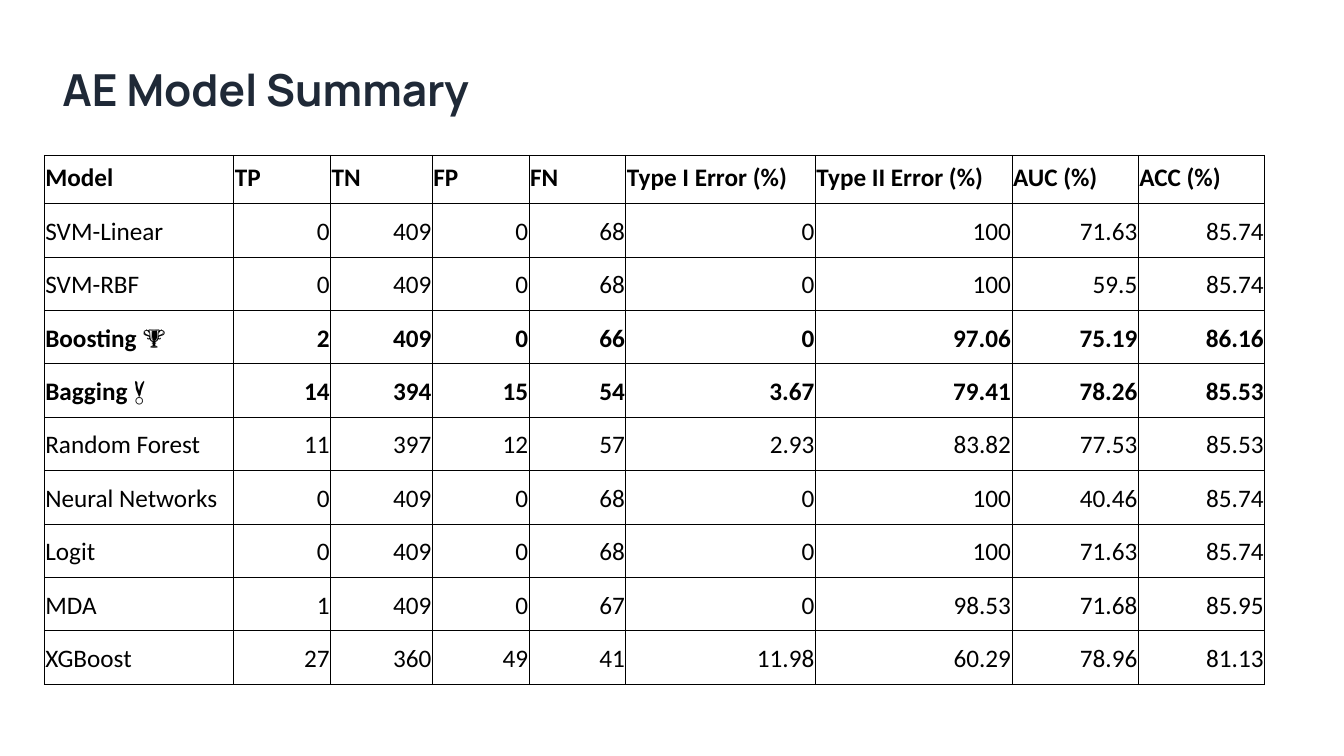
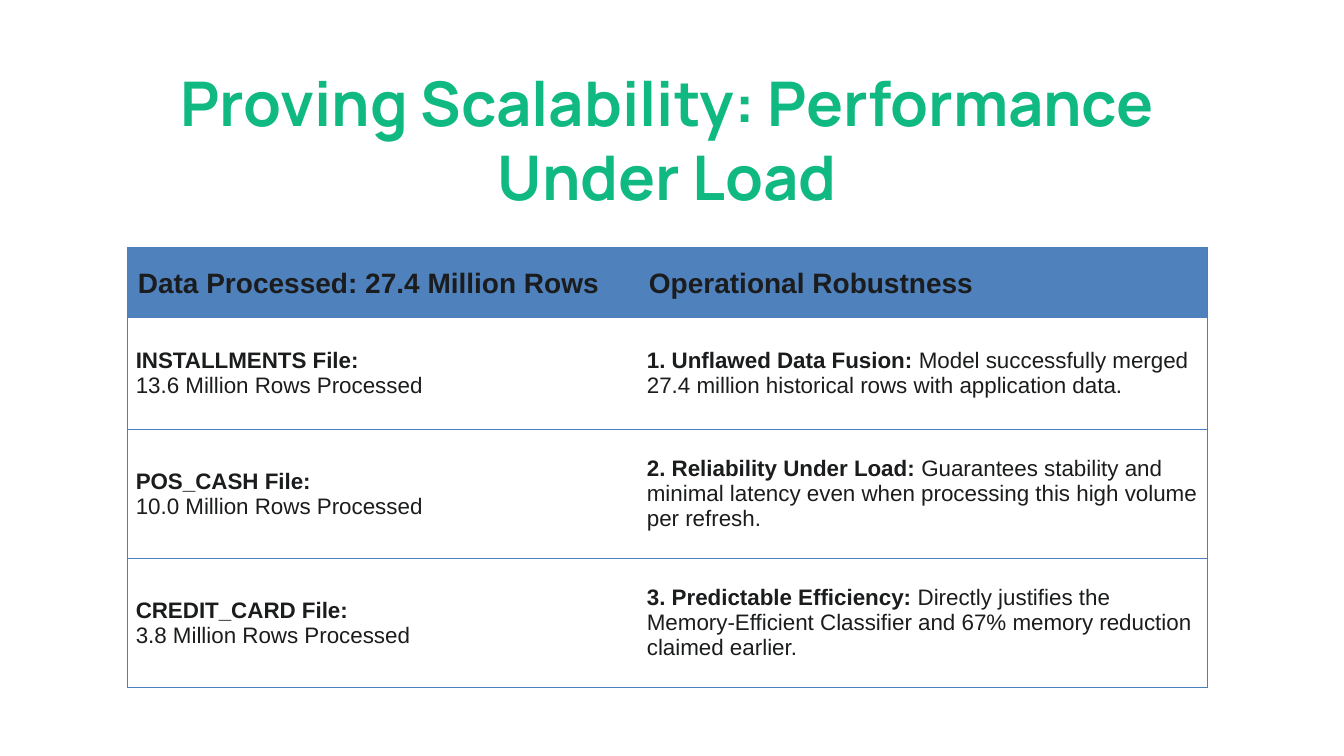
import dataclasses

import pptx
import pptx.dml.color
import pptx.enum.text
import pptx.oxml.ns
import pptx.util
from lxml import etree

ALIGN = pptx.enum.text.PP_ALIGN
ANCHOR = pptx.enum.text.MSO_ANCHOR


@dataclasses.dataclass(frozen=True)
class Theme:
    wide: float = 13.33
    high: float = 7.5
    # Colours
    navy: str = "1F2937"
    green: str = "10B981"
    black: str = "000000"
    ink: str = "1B1C1D"
    band: str = "4F81BD"
    rule: str = "4B7EBC"
    # Fonts and sizes
    title: str = "Manrope"
    grid: str = "Calibri"
    body: str = "Arial"
    small: float = 31.5
    large: float = 44
    score: float = 18
    head: float = 20
    text: float = 16
    line: float = 0.75


THEME = Theme()

HEADS = ("Model", "TP", "TN", "FP", "FN", "Type I Error (%)",
         "Type II Error (%)", "AUC (%)", "ACC (%)")
SCORES = (
    ("SVM-Linear", "0 409 0 68 0 100 71.63 85.74"),
    ("SVM-RBF", "0 409 0 68 0 100 59.5 85.74"),
    ("Boosting 🏆", "2 409 0 66 0 97.06 75.19 86.16"),
    ("Bagging 🏅", "14 394 15 54 3.67 79.41 78.26 85.53"),
    ("Random Forest", "11 397 12 57 2.93 83.82 77.53 85.53"),
    ("Neural Networks", "0 409 0 68 0 100 40.46 85.74"),
    ("Logit", "0 409 0 68 0 100 71.63 85.74"),
    ("MDA", "1 409 0 67 0 98.53 71.68 85.95"),
    ("XGBoost", "27 360 49 41 11.98 60.29 78.96 81.13"),
)
BEST = ("Boosting 🏆", "Bagging 🏅")

LOADS = (
    ("INSTALLMENTS File:", "13.6 Million Rows Processed",
     "1. Unflawed Data Fusion:",
     " Model successfully merged 27.4 million historical rows with"
     " application data."),
    ("POS_CASH File:", "10.0 Million Rows Processed",
     "2. Reliability Under Load:",
     " Guarantees stability and minimal latency even when processing this"
     " high volume per refresh."),
    ("CREDIT_CARD File:", "3.8 Million Rows Processed",
     "3. Predictable Efficiency:",
     " Directly justifies the Memory-Efficient Classifier and 67% memory"
     " reduction claimed earlier."),
)


# Lengths as percent of the slide
def across(share):
    return pptx.util.Inches(THEME.wide * share / 100)


def down(share):
    return pptx.util.Inches(THEME.high * share / 100)


def paint(color):
    return pptx.dml.color.RGBColor.from_string(color)


def add_run(para, text, font, size, color, bold=True):
    run = para.add_run()
    run.text = text
    run.font.name = font
    run.font.size = pptx.util.Pt(size)
    run.font.bold = bold
    run.font.color.rgb = paint(color)


def add_title(deck, text, box, size, color, align, inset):
    """Add a title-only slide and set its title."""
    slide = deck.slides.add_slide(deck.slide_layouts[5])
    shape = slide.shapes.title
    left, top, width, height = box
    shape.left, shape.top = across(left), down(top)
    shape.width, shape.height = across(width), down(height)
    frame = shape.text_frame
    frame.word_wrap = True
    frame.auto_size = pptx.enum.text.MSO_AUTO_SIZE.SHAPE_TO_FIT_TEXT
    frame.vertical_anchor = ANCHOR.TOP
    set_inset(frame, inset)
    para = frame.paragraphs[0]
    para.alignment = align
    add_run(para, text, THEME.title, size, color)
    return slide


def add_table(slide, left, top, cols, rows):
    table = slide.shapes.add_table(
        len(rows), len(cols), across(left), down(top),
        across(sum(cols)), down(sum(rows))).table
    table.first_row = table.horz_banding = False
    for col, share in zip(table.columns, cols):
        col.width = across(share)
    for row, share in zip(table.rows, rows):
        row.height = down(share)
    return table


def set_inset(item, inset):
    """Set left, top, right and bottom margins."""
    (item.margin_left, item.margin_top, item.margin_right,
     item.margin_bottom) = map(pptx.util.Inches, inset)


def style_cell(cell, sides, color, inset, anchor, fill=None):
    """Rule the named sides (of L, R, T, B), clear the others, then fill."""
    name = pptx.oxml.ns.qn
    props = cell._tc.get_or_add_tcPr()
    for side in "LRTB":
        line = etree.SubElement(props, name("a:ln" + side),
                                w=str(pptx.util.Pt(THEME.line)))
        if side in sides:
            solid = etree.SubElement(line, name("a:solidFill"))
            etree.SubElement(solid, name("a:srgbClr"), val=color)
        else:
            etree.SubElement(line, name("a:noFill"))
    if fill:
        cell.fill.solid()
        cell.fill.fore_color.rgb = paint(fill)
    else:
        cell.fill.background()
    set_inset(cell, inset)
    cell.vertical_anchor = anchor


def add_scores(deck):
    slide = add_title(deck, "AE Model Summary", (4.65, 8.27, 95.18, 7.07),
                      THEME.small, THEME.navy, ALIGN.LEFT, (0, 0, 0, 0))
    rows = [HEADS] + [(name, *nums.split()) for name, nums in SCORES]
    cols = (14.1, 7.2, 7.58, 7.2, 7.2, 14.1, 14.63, 9.4, 9.4)
    table = add_table(slide, 3.3, 20.53, cols, [6.4] + [7.07] * len(SCORES))
    for r, row in enumerate(rows):
        bold = r == 0 or row[0] in BEST
        for c, text in enumerate(row):
            cell = table.cell(r, c)
            style_cell(cell, "LRTB", THEME.black, (0.01, 0.01, 0.01, 0.1),
                       ANCHOR.BOTTOM)
            para = cell.text_frame.paragraphs[0]
            if r and c:
                para.alignment = ALIGN.RIGHT
                para.line_spacing = 1.15
            add_run(para, text, THEME.grid, THEME.score, THEME.black, bold)


def add_loads(deck):
    slide = add_title(deck, "Proving Scalability: Performance Under Load",
                      (9.5, 7.87, 80.33, 21.07), THEME.large, THEME.green,
                      ALIGN.CENTER, (0.1, 0.05, 0.1, 0.05))
    table = add_table(slide, 9.5, 32.8, (38.03, 42.3),
                      (9.2, 14.8, 17.07, 17.07))
    # Header band
    heads = ("Data Processed: 27.4 Million Rows", "Operational Robustness")
    for c, text in enumerate(heads):
        cell = table.cell(0, c)
        style_cell(cell, "LR"[c] + "TB", THEME.rule, (0.1, 0.05, 0.1, 0.05),
                   ANCHOR.TOP, THEME.band)
        para = cell.text_frame.paragraphs[0]
        para.line_spacing = 1.5
        add_run(para, text, THEME.body, THEME.head, THEME.ink)
    # Files on the left, strengths on the right
    for r, (file, count, point, detail) in enumerate(LOADS, 1):
        for c, (lead, rest) in enumerate(((file, count), (point, detail))):
            cell = table.cell(r, c)
            style_cell(cell, "LR"[c] + "TB", THEME.rule,
                       (0.08, 0.06, 0.08, 0.06), ANCHOR.MIDDLE)
            frame = cell.text_frame
            para = frame.paragraphs[0]
            add_run(para, lead, THEME.body, THEME.text, THEME.ink)
            if c == 0:
                para = frame.add_paragraph()
            add_run(para, rest, THEME.body, THEME.text, THEME.ink, False)


def main():
    deck = pptx.Presentation()
    deck.slide_width, deck.slide_height = across(100), down(100)
    add_scores(deck)
    add_loads(deck)
    deck.save("out.pptx")


if __name__ == "__main__":
    main()
